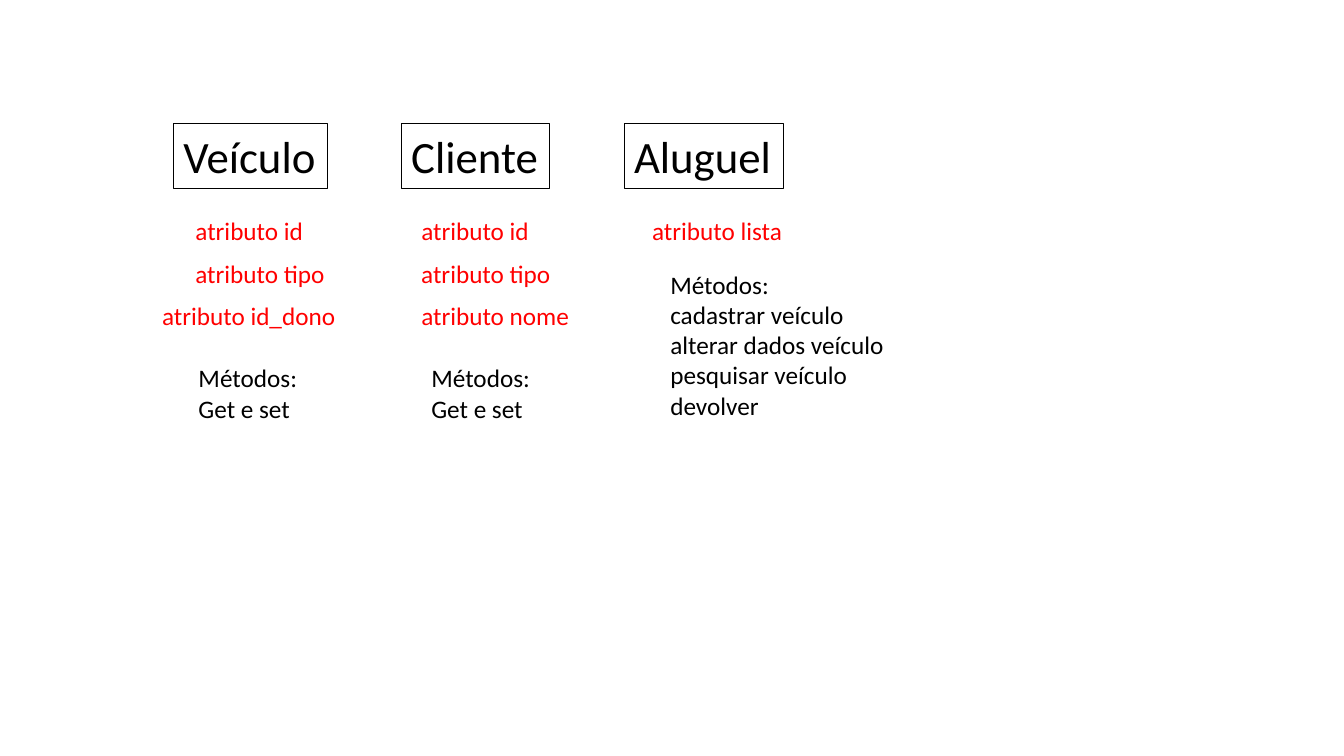
from dataclasses import dataclass

import pptx
import pptx.dml.color
import pptx.enum.text
import pptx.util


@dataclass(frozen=True)
class Theme:
    font: str = "Calibri"
    ink: str = "000000"
    attribute: str = "FF0000"
    name_size: int = 32
    text_size: int = 18
    line_width: float = 0.75


THEME = Theme()

# Vertical grid, in inches
NAME_TOP, NAME_HEIGHT = 1.23, 0.64
ATTRIBUTE_TOP, ATTRIBUTE_PITCH, ATTRIBUTE_HEIGHT = 2.09, 0.42, 0.4
LINE_HEIGHT, PADDING = 0.3, 0.1

# Each class: name (text, left, width), attributes (text, left, width),
# methods (lines, left, top, width)
CLASSES = [
    {
        "name": ("Veículo", 1.72, 1.53),
        "attributes": [("atributo id", 1.84, 1.28),
                       ("atributo tipo", 1.84, 1.5),
                       ("atributo id_dono", 1.51, 1.94)],
        "methods": (["Métodos:", "Get e set"], 1.87, 3.55, 1.19),
    },
    {
        "name": ("Cliente", 3.98, 1.47),
        "attributes": [("atributo id", 4.08, 1.28),
                       ("atributo tipo", 4.08, 1.5),
                       ("atributo nome", 4.08, 1.68)],
        "methods": (["Métodos:", "Get e set"], 4.18, 3.55, 1.19),
    },
    {
        "name": ("Aluguel", 6.19, 1.58),
        "attributes": [("atributo lista", 6.37, 1.5)],
        "methods": (["Métodos:", "cadastrar veículo", "alterar dados veículo",
                     "pesquisar veículo", "devolver"], 6.55, 2.62, 2.34),
    },
]


def rgb(value):
    return pptx.dml.color.RGBColor.from_string(value)


def add_text(page, lines, left, top, width, height, size, color):
    """Add an unwrapped text box with one paragraph per line."""
    box = page.shapes.add_textbox(
        *(pptx.util.Inches(length) for length in (left, top, width, height)))
    frame = box.text_frame
    frame.word_wrap = False
    frame.auto_size = pptx.enum.text.MSO_AUTO_SIZE.SHAPE_TO_FIT_TEXT
    frame.text = "\n".join(lines)
    for para in frame.paragraphs:
        for span in para.runs:
            span.font.name = THEME.font
            span.font.size = pptx.util.Pt(size)
            span.font.color.rgb = rgb(color)
    return box


def add_class_name(page, name, left, width):
    box = add_text(page, [name], left, NAME_TOP, width, NAME_HEIGHT,
                   THEME.name_size, THEME.ink)
    box.line.color.rgb = rgb(THEME.ink)
    box.line.width = pptx.util.Pt(THEME.line_width)


def add_attributes(page, attributes):
    for row, (label, left, width) in enumerate(attributes):
        add_text(page, [label], left, ATTRIBUTE_TOP + row * ATTRIBUTE_PITCH,
                 width, ATTRIBUTE_HEIGHT, THEME.text_size, THEME.attribute)


def add_methods(page, lines, left, top, width):
    height = len(lines) * LINE_HEIGHT + PADDING
    add_text(page, lines, left, top, width, height,
             THEME.text_size, THEME.ink)


def main():
    deck = pptx.Presentation()
    deck.slide_width = pptx.util.Inches(13.33)
    deck.slide_height = pptx.util.Inches(7.5)
    page = deck.slides.add_slide(deck.slide_layouts.get_by_name("Blank"))

    # One column per class
    for item in CLASSES:
        add_class_name(page, *item["name"])
        add_attributes(page, item["attributes"])
        add_methods(page, *item["methods"])

    deck.save("out.pptx")


main()
